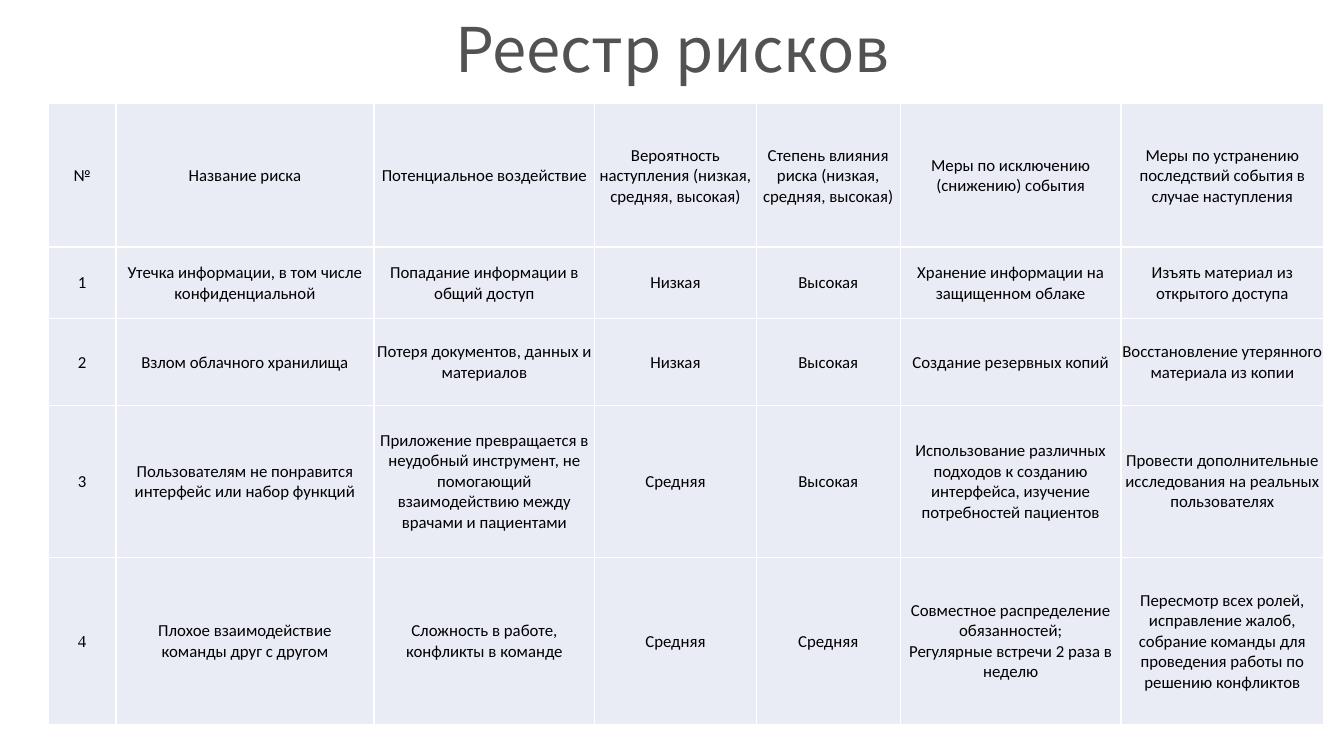
"""Build the risk register slide."""
from dataclasses import dataclass
from typing import NamedTuple

from lxml.etree import SubElement as Sub
from pptx import Presentation
from pptx.dml.color import RGBColor as Rgb
from pptx.enum.text import MSO_ANCHOR as Anchor, MSO_AUTO_SIZE as Fit, PP_ALIGN as Align
from pptx.oxml.ns import qn
from pptx.slide import Slide
from pptx.table import _Cell as Cell
from pptx.text.text import TextFrame as Frame
from pptx.util import Inches, Pt


class Style(NamedTuple):
    font: str
    size: int
    color: str


@dataclass(frozen=True)
class Theme:
    title: Style = Style("Noto Sans CJK JP", 44, "525252")
    body: Style = Style("Calibri", 12, "000000")
    last: Style = Style("Times New Roman", 12, "000000")
    fill: str = "E9EBF5"
    edge: str = "FFFFFF"
    line: int = 1


class Risk(NamedTuple):
    num: str
    name: str
    impact: str
    chance: str
    degree: str
    avoid: str
    repair: str


THEME = Theme()
WIDTHS = (0.67, 2.56, 2.19, 1.6, 1.43, 2.19, 2.01)
HEIGHTS = (1.42, 0.71, 0.86, 1.51, 1.66)
LOW, MID, HIGH = "Низкая", "Средняя", "Высокая"
RISKS = (
    Risk("№", "Название риска", "Потенциальное воздействие",
         "Вероятность наступления (низкая, средняя, высокая)",
         "Степень влияния риска (низкая, средняя, высокая)",
         "Меры по исключению (снижению) события",
         "Меры по устранению последствий события в случае наступления"),
    Risk("1", "Утечка информации, в том числе конфиденциальной",
         "Попадание информации в общий доступ", LOW, HIGH,
         "Хранение информации на защищенном облаке",
         "Изъять материал из открытого доступа"),
    Risk("2", "Взлом облачного хранилища",
         "Потеря документов, данных и материалов", LOW, HIGH,
         "Создание резервных копий",
         "Восстановление утерянного материала из копии"),
    Risk("3", "Пользователям не понравится интерфейс или набор функций",
         "Приложение превращается в неудобный инструмент, не помогающий "
         "взаимодействию между врачами и пациентами", MID, HIGH,
         "Использование различных подходов к созданию интерфейса, "
         "изучение потребностей пациентов",
         "Провести дополнительные исследования на реальных пользователях"),
    Risk("4", "Плохое взаимодействие\vкоманды друг с другом",
         "Сложность в работе, конфликты в команде", MID, MID,
         "Совместное распределение обязанностей;\vРегулярные встречи 2 раза в неделю",
         "Пересмотр всех ролей, исправление жалоб, собрание команды "
         "для проведения работы по решению конфликтов"),
)


def write(frame: Frame, text: str, style: Style) -> None:
    """Put centred, styled text in a frame."""
    frame.text = text
    for para in frame.paragraphs:
        para.alignment = Align.CENTER
        for gap in para._p.findall(qn("a:br")):
            Sub(gap, qn("a:rPr"), sz=str(style.size * 100))
        for run in para.runs:
            run.font.name = style.font
            run.font.size = Pt(style.size)
            run.font.color.rgb = Rgb.from_string(style.color)


def edge(cell: Cell) -> None:
    """Draw the four borders of a cell."""
    props = cell._tc.get_or_add_tcPr()
    for side in ("lnL", "lnR", "lnT", "lnB"):
        line = Sub(props, qn(f"a:{side}"), w=str(Pt(THEME.line)))
        Sub(Sub(line, qn("a:solidFill")), qn("a:srgbClr"), val=THEME.edge)


def fill(cell: Cell, text: str, style: Style) -> None:
    """Write and format one table cell."""
    write(cell.text_frame, text, style)
    cell.vertical_anchor = Anchor.MIDDLE
    cell.margin_left = cell.margin_right = cell.margin_top = Inches(0.01)
    cell.margin_bottom = 0
    edge(cell)
    cell.fill.solid()
    cell.fill.fore_color.rgb = Rgb.from_string(THEME.fill)


def head(slide: Slide, text: str) -> None:
    """Place and format the slide title."""
    title = slide.shapes.title
    title.left, title.top = Inches(0.92), Inches(-0.2)
    title.width, title.height = Inches(11.5), Inches(1.45)
    frame = title.text_frame
    write(frame, text, THEME.title)
    frame.word_wrap = True
    frame.auto_size = Fit.NONE
    frame.vertical_anchor = Anchor.MIDDLE
    frame.paragraphs[0].line_spacing = 0.9


def grid(slide: Slide) -> None:
    """Draw the table of risks."""
    table = slide.shapes.add_table(
        len(HEIGHTS), len(WIDTHS), Inches(0.48), Inches(1.03),
        Inches(sum(WIDTHS)), Inches(sum(HEIGHTS))).table
    table.first_row = table.horz_banding = False
    for col, width in zip(table.columns, WIDTHS):
        col.width = Inches(width)
    for row, height, risk in zip(table.rows, HEIGHTS, RISKS):
        row.height = Inches(height)
        for cell, text in zip(row.cells, risk):
            fill(cell, text, THEME.last if text == "4" else THEME.body)


def main() -> None:
    """Create and save the deck."""
    deck = Presentation()
    deck.slide_width, deck.slide_height = Inches(13.33), Inches(7.5)
    slide = deck.slides.add_slide(deck.slide_layouts[5])
    head(slide, "Реестр рисков")
    grid(slide)
    deck.save("out.pptx")


if __name__ == "__main__":
    main()
